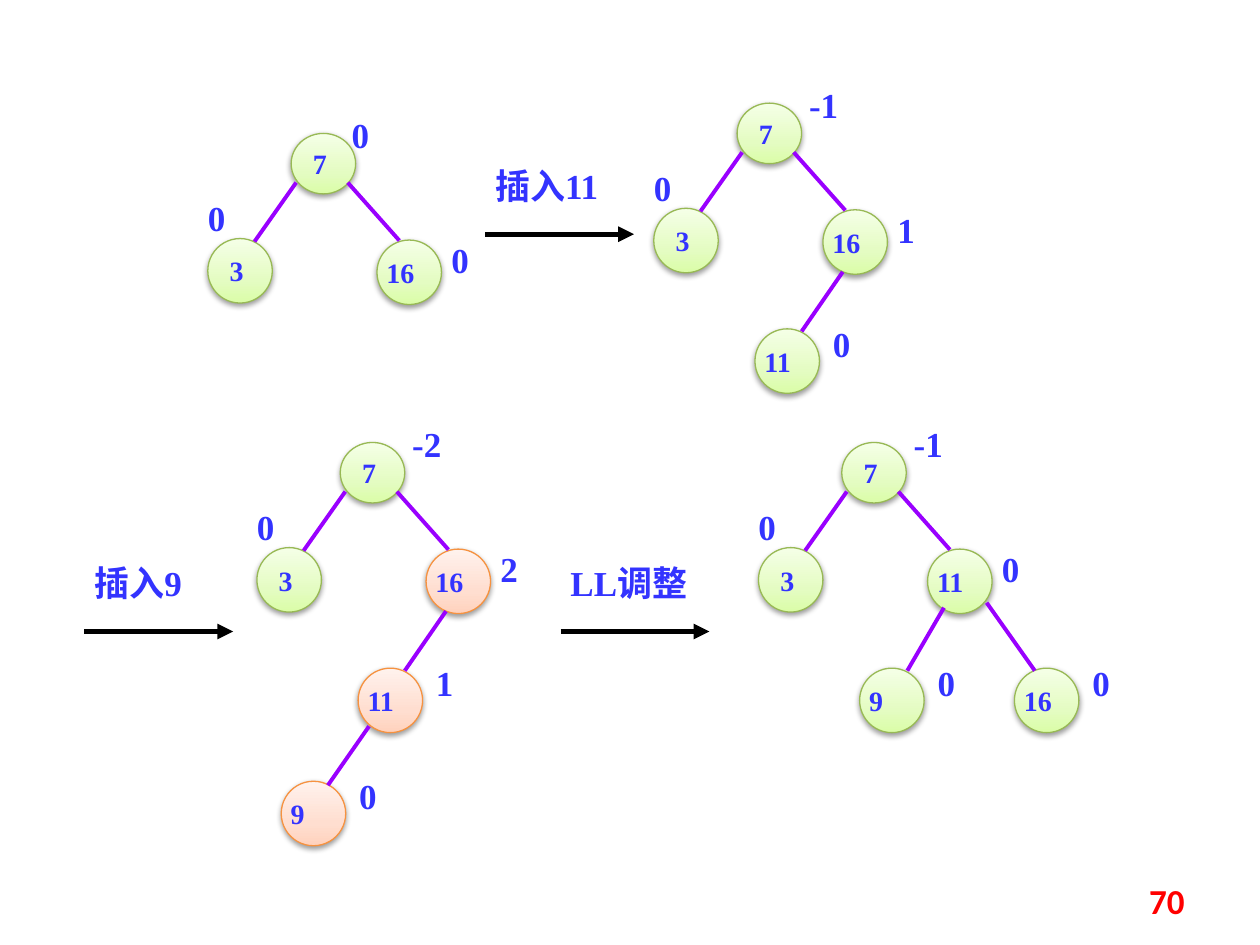
from copy import deepcopy
from dataclasses import dataclass

from lxml.etree import SubElement
from pptx import Presentation
from pptx.dml.color import RGBColor
from pptx.enum.shapes import MSO_CONNECTOR, MSO_SHAPE
from pptx.enum.text import MSO_ANCHOR, PP_ALIGN
from pptx.oxml.ns import qn
from pptx.util import Cm, Pt


@dataclass(frozen=True)
class Theme:
    text: str = "3333FF"
    edge: str = "9900FF"
    arrow: str = "000000"
    page: str = "FF0000"
    balanced: tuple = ("98B955", "DAFDA7", "E4FCC2", "F5FFE7")
    unbalanced: tuple = ("F69240", "FFD2BD", "FFDED0", "FFF2ED")
    font: str = "Times New Roman"
    page_font: str = "Calibri"
    key_size: int = 16
    label_size: int = 20
    edge_width: float = 2.25
    arrow_width: float = 3


class TreeSlide:
    stops = (0, 0.35, 1)
    node_size = 1.3
    root_height = 1.22
    label_height = 0.84

    def __init__(self, slide, theme):
        self.slide = slide
        self.theme = theme

    def set_text(self, shape, text, size, color, font, inset=0, align=PP_ALIGN.LEFT):
        frame = shape.text_frame
        frame.word_wrap = True
        frame.vertical_anchor = MSO_ANCHOR.MIDDLE
        frame.margin_left = frame.margin_right = Cm(inset)
        frame.margin_top = frame.margin_bottom = 0
        frame.text = text
        paragraph = frame.paragraphs[0]
        paragraph.alignment = align
        for run in paragraph.runs:
            run.font.name = font
            run.font.size = Pt(size)
            run.font.bold = True
            run.font.color.rgb = RGBColor.from_string(color)

    def label(self, text, left, top, width=0.7):
        box = self.slide.shapes.add_textbox(
            Cm(left), Cm(top), Cm(width), Cm(self.label_height))
        self.set_text(box, text, self.theme.label_size, self.theme.text, self.theme.font)

    def node(self, key, left, top, palette, height=node_size, inset=0):
        shape = self.slide.shapes.add_shape(
            MSO_SHAPE.OVAL, Cm(left), Cm(top), Cm(self.node_size), Cm(height))
        outline, *colors = palette
        shape.fill.gradient()
        shape.fill.gradient_angle = 90
        last_stop = shape._element.spPr.findall(".//" + qn("a:gs"))[-1]
        last_stop.addnext(deepcopy(last_stop))
        for stop, position, color in zip(shape.fill.gradient_stops, self.stops, colors):
            stop.position = position
            stop.color.rgb = RGBColor.from_string(color)
        shape.line.color.rgb = RGBColor.from_string(outline)
        shape.line.width = Pt(0.75)
        self.drop_shadow(shape)
        self.set_text(shape, key, self.theme.key_size, self.theme.text,
                      self.theme.font, inset)

    def drop_shadow(self, shape):
        shape.shadow.inherit = False
        effects = shape._element.spPr.find(qn("a:effectLst"))
        shadow = SubElement(effects, qn("a:outerShdw"), blurRad="40000",
                            dist="20000", dir="5400000", rotWithShape="0")
        color = SubElement(shadow, qn("a:srgbClr"), val="000000")
        SubElement(color, qn("a:alpha"), val="38000")

    def line(self, start, end, color, width):
        connector = self.slide.shapes.add_connector(
            MSO_CONNECTOR.STRAIGHT, *(Cm(value) for value in (*start, *end)))
        connector.line.color.rgb = RGBColor.from_string(color)
        connector.line.width = Pt(width)
        SubElement(connector._element.spPr, qn("a:effectLst"))
        return connector

    def edge(self, left, top, start, end):
        self.line((left + start[0], top + start[1]), (left + end[0], top + end[1]),
                  self.theme.edge, self.theme.edge_width)

    def step(self, text, left, top):
        arrow = self.line((left, top), (left + 3, top),
                          self.theme.arrow, self.theme.arrow_width)
        outline = arrow._element.spPr.find(qn("a:ln"))
        SubElement(outline, qn("a:tailEnd"), type="triangle")
        self.label(text, left + 0.2, top - 1.4, 2.59)

    def tree(self, left, top, root_balance, right, lower=(), root_gap=1.45):
        green = self.theme.balanced
        self.node("7", left, top, green, self.root_height, 0.25)
        self.label(root_balance, left + root_gap, top - 0.39)
        self.node("3", left - 1.68, top + 2.12, green, inset=0.25)
        self.label("0", left - 1.68, top + 1.27, 0.79)
        self.edge(left, top, (0.1, 0.99), (-0.74, 2.18))
        key, balance, palette = right
        self.node(key, left + 1.73, top + 2.15, palette)
        self.label(balance, left + 3.23, top + 2.12, 0.61)
        self.edge(left, top, (1.14, 0.99), (2.18, 2.16))
        for key, balance, palette, (x, y), start, end in lower:
            self.node(key, left + x, top + y, palette)
            self.label(balance, left + x + 1.57, top + y - 0.13, 0.61)
            self.edge(left, top, start, end)

    def page_number(self, text):
        box = self.slide.shapes.add_textbox(Cm(18.2), Cm(17.65), Cm(5.93), Cm(1.02))
        self.set_text(box, text, self.theme.label_size, self.theme.page,
                      self.theme.page_font, 0.25, PP_ALIGN.RIGHT)


def main():
    presentation = Presentation()
    presentation.slide_width, presentation.slide_height = Cm(25.4), Cm(19.05)
    theme = Theme()
    page = TreeSlide(
        presentation.slides.add_slide(presentation.slide_layouts[6]), theme)
    green, orange = theme.balanced, theme.unbalanced
    left_grandchild = ((0.36, 4.55), (2.13, 3.4), (1.3, 4.6))

    page.tree(5.87, 2.69, "0", ("16", "0", green), root_gap=1.22)
    page.step("插入11", 9.78, 4.72)
    page.tree(14.86, 2.08, "-1", ("16", "1", green),
              [("11", "0", green, *left_grandchild)])
    page.step("插入9", 1.7, 12.73)
    page.tree(6.86, 8.92, "-2", ("16", "2", orange), [
        ("11", "1", orange, *left_grandchild),
        ("9", "0", orange, (-1.19, 6.83), (0.58, 5.72), (-0.25, 6.91)),
    ])
    page.step("LL调整", 11.3, 12.73)
    page.tree(16.97, 8.92, "-1", ("11", "0", green), [
        ("9", "0", green, (0.36, 4.55), (2.06, 3.33), (1.32, 4.6)),
        ("16", "0", green, (3.48, 4.55), (2.92, 3.23), (3.89, 4.6)),
    ])
    page.page_number("70")
    presentation.save("out.pptx")


if __name__ == "__main__":
    main()
